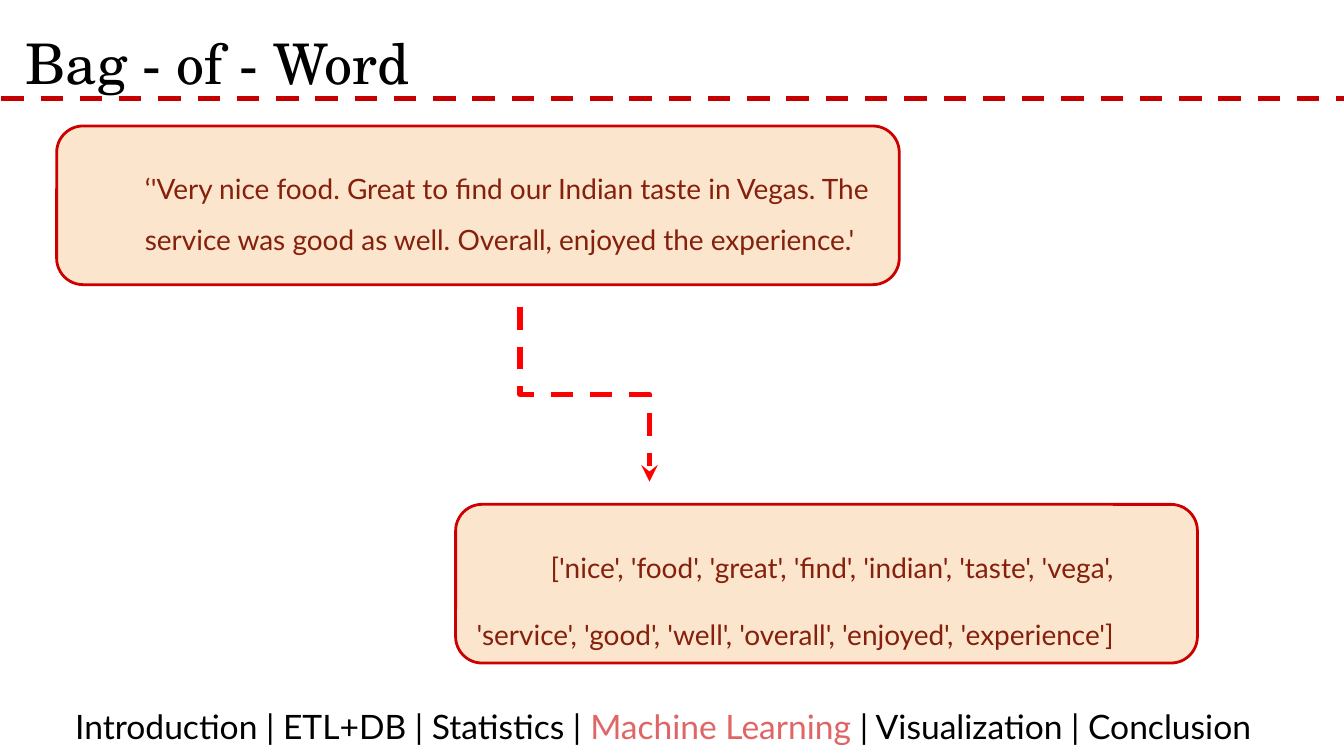
"""Build the bag-of-words slide."""
from pptx import Presentation, util as u
from pptx.dml.color import RGBColor
from pptx.enum import dml, shapes, text
from pptx.oxml import parse_xml
from pptx.oxml.ns import nsdecls

HUES = {
    "ink": "000000", "rule": "C60000", "edge": "CC0000", "fill": "FCE5CD",
    "word": "85200C", "arrow": "FF0000", "now": "E06666",
}
SANS, SERIF = "Lato", "TeX Gyre Schola"
STEPS = ["Introduction", "ETL+DB", "Statistics", "Machine Learning",
         "Visualization", "Conclusion"]
NOW = "Machine Learning"
REVIEW = ("‘'Very nice food. Great to find our Indian taste in Vegas. "
          "The service was good as well. Overall, enjoyed the experience.'")
TOKENS = ("['nice', 'food', 'great', 'find', 'indian', 'taste', 'vega', "
          "'service', 'good', 'well', 'overall', 'enjoyed', 'experience']")


def hue(key):
    """Return the named colour."""
    return RGBColor.from_string(HUES[key])


def put(obj, vals):
    """Set attributes from a dict of values."""
    for key, val in vals.items():
        setattr(obj, key, val)


def frame(shape, anchor):
    """Set margins, wrap and anchor, and return the first paragraph."""
    body = shape.text_frame
    put(body, {f"margin_{side}": u.Pt(7.2)
               for side in ("left", "top", "right", "bottom")})
    put(body, {"word_wrap": True, "auto_size": text.MSO_AUTO_SIZE.NONE,
               "vertical_anchor": anchor})
    return body.paragraphs[0]


def write(para, words, size, face, color):
    """Add one formatted run to a paragraph."""
    run = para.add_run()
    run.text = words
    put(run.font, {"size": u.Pt(size), "name": face})
    run.font.color.rgb = hue(color)


def dash(slide, kind, ends, color):
    """Draw a dashed connector between two points."""
    link = slide.shapes.add_connector(kind, *map(u.Pt, ends))
    link.line.color.rgb = hue(color)
    put(link.line, {"width": u.Pt(3), "dash_style": dml.MSO_LINE.DASH})
    link.element.spPr.append(parse_xml(f"<a:effectLst {nsdecls('a')}/>"))
    return link


def head(slide, box):
    """Place the title and the dashed rule below it."""
    title = slide.shapes.title
    put(title, dict(zip(("left", "top", "width", "height"), map(u.Pt, box))))
    para = frame(title, text.MSO_ANCHOR.TOP)
    para.alignment = text.PP_ALIGN.LEFT
    write(para, "Bag - of - Word", 30, SERIF, "ink")
    low = box[1] + box[3] - 0.5
    dash(slide, shapes.MSO_CONNECTOR.STRAIGHT, (0.7, low, 720.7, low), "rule")


def card(slide, box, words, space, left, first):
    """Place a rounded card with indented words."""
    shape = slide.shapes.add_shape(
        shapes.MSO_SHAPE.ROUNDED_RECTANGLE, *map(u.Pt, box))
    shape.shadow.inherit = False
    shape.fill.solid()
    shape.fill.fore_color.rgb = hue("fill")
    shape.line.color.rgb = hue("edge")
    shape.line.width = u.Pt(1.5)
    para = frame(shape, text.MSO_ANCHOR.MIDDLE)
    put(para, {"alignment": text.PP_ALIGN.LEFT, "line_spacing": space})
    props = para._p.get_or_add_pPr()
    props.set("marL", str(u.Pt(left)))
    props.set("indent", str(u.Pt(first)))
    write(para, words, 15, SANS, "word")


def arrow(slide, box):
    """Draw an elbow arrow from the box's top left to its bottom right."""
    left, top, wide, high = box
    mid, row = left + wide / 2, top + high / 2
    ends = (mid + high / 2, row - wide / 2, mid - high / 2, row + wide / 2)
    link = dash(slide, shapes.MSO_CONNECTOR.ELBOW, ends, "arrow")
    link.element.spPr.xfrm.set("rot", str(270 * 60000))
    link.line._get_or_add_ln().append(
        parse_xml(f'<a:tailEnd {nsdecls("a")} type="stealth"/>'))


def foot(slide, box):
    """Place the row of steps with the current one marked."""
    shape = slide.shapes.add_textbox(*map(u.Pt, box))
    para = frame(shape, text.MSO_ANCHOR.MIDDLE)
    para.alignment = text.PP_ALIGN.CENTER
    spot = STEPS.index(NOW)
    parts = [(" | ".join(STEPS[:spot]) + " | ", "ink"), (NOW, "now"),
             (" | " + " | ".join(STEPS[spot + 1:]), "ink")]
    for words, color in parts:
        write(para, words, 18, SANS, color)


def main():
    """Build and save the slide."""
    deck = Presentation()
    put(deck, {"slide_width": u.Pt(720), "slide_height": u.Pt(405)})
    slide = deck.slides.add_slide(deck.slide_layouts[5])
    head(slide, (6.5, 8, 358, 45.2))
    card(slide, (30.4, 67.5, 451.4, 85), REVIEW, 1.5, 36, 0)
    card(slide, (244.1, 270.2, 397.4, 85), TOKENS, 2, 0, 39.6)
    arrow(slide, (278.6, 164.6, 69.3, 93.4))
    foot(slide, (6.5, 373.7, 697.7, 31))
    deck.save("out.pptx")


if __name__ == "__main__":
    main()
